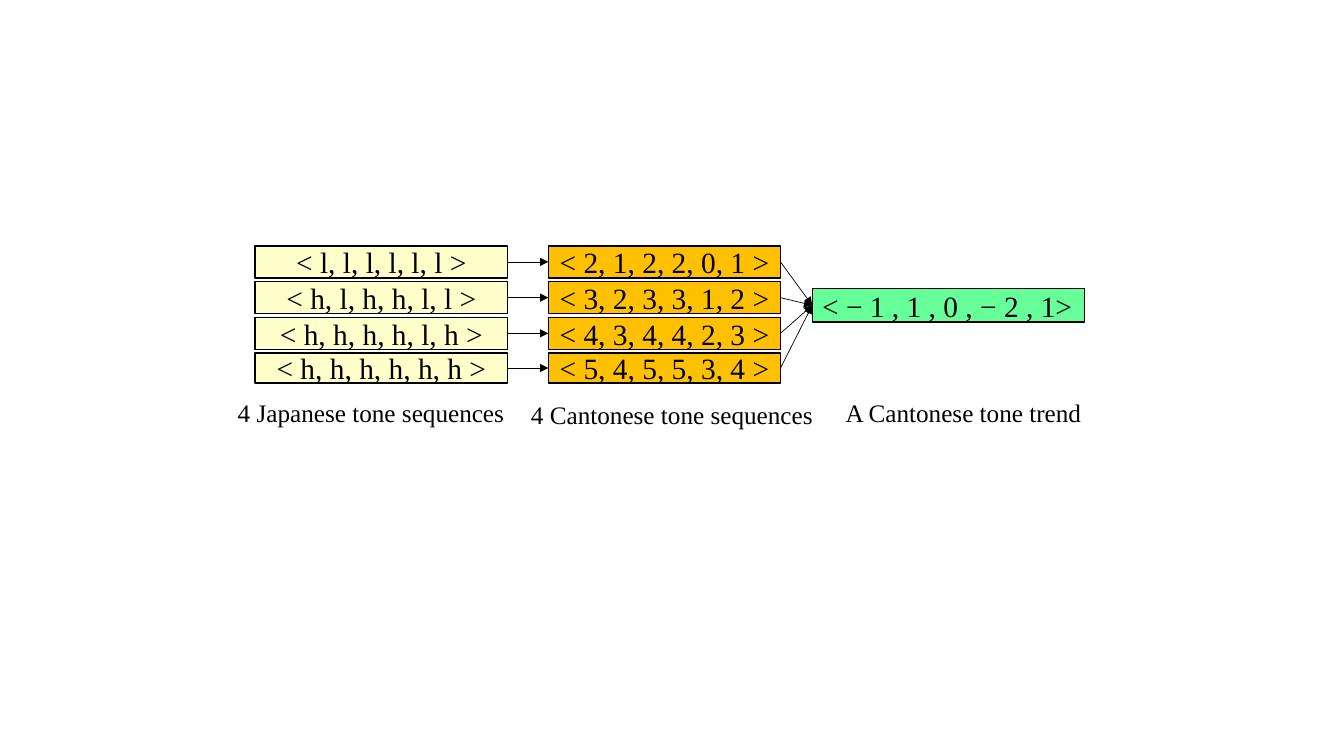
from lxml import etree
from pptx import Presentation
from pptx.dml.color import RGBColor
from pptx.enum.shapes import MSO_CONNECTOR, MSO_SHAPE
from pptx.enum.text import MSO_ANCHOR, MSO_AUTO_SIZE, PP_ALIGN
from pptx.oxml.ns import qn
from pptx.util import Pt

RECT = MSO_SHAPE.RECTANGLE
STRAIGHT = MSO_CONNECTOR.STRAIGHT
MIDDLE = MSO_ANCHOR.MIDDLE
GROW = MSO_AUTO_SIZE.SHAPE_TO_FIT_TEXT
LEFT, CENTER = PP_ALIGN.LEFT, PP_ALIGN.CENTER
LEFT_SIDE, RIGHT_SIDE = 1, 3

COLORS = {
    "ink": "000000",
    "japanese": "FFFFCC",
    "cantonese": "FFC000",
    "trend": "66FF99",
}
SEQUENCES = [
    ("< l, l, l, l, l, l >", "< 2, 1, 2, 2, 0, 1 >"),
    ("< h, l, h, h, l, l >", "< 3, 2, 3, 3, 1, 2 >"),
    ("< h, h, h, h, l, h >", "< 4, 3, 4, 4, 2, 3 >"),
    ("< h, h, h, h, h, h >", "< 5, 4, 5, 5, 3, 4 >"),
]
CAPTIONS = [
    ("4 Japanese tone sequences", 162.7, 280.1, 206.6),
    ("4 Cantonese tone sequences", 372.2, 281.5, 218.2),
    ("A Cantonese tone trend", 596.9, 280.1, 190.1),
]
ROW_TOP, ROW_PITCH = 175.6, 25.5
ROW_HEIGHTS = [23, 23, 23, 21.6]

prs = Presentation()
prs.slide_width, prs.slide_height = Pt(960), Pt(540)
s = prs.slides.add_slide(prs.slide_layouts[6])


def add_box(text, color, x, y, w, h, align=CENTER):
    sp = s.shapes.add_shape(RECT, Pt(x), Pt(y), Pt(w), Pt(h))
    sp.shadow.inherit = False
    sp.fill.solid()
    sp.fill.fore_color.rgb = RGBColor.from_string(COLORS[color])
    sp.line.color.rgb = RGBColor.from_string(COLORS["ink"])
    sp.line.width = Pt(1)
    tf = sp.text_frame
    tf.vertical_anchor = MIDDLE
    tf.text = text
    p = tf.paragraphs[0]
    p.alignment = align
    font = p.runs[0].font
    font.name, font.size = "Times New Roman", Pt(21)
    font.color.rgb = RGBColor.from_string(COLORS["ink"])
    return sp


def add_arrow(start, end):
    cn = s.shapes.add_connector(STRAIGHT, 0, 0, 0, 0)
    cn.begin_connect(start, RIGHT_SIDE)
    cn.end_connect(end, LEFT_SIDE)
    cn.line.color.rgb = RGBColor.from_string(COLORS["ink"])
    cn.line.width = Pt(0.5)
    etree.SubElement(cn.line._get_or_add_ln(), qn("a:tailEnd"), type="triangle")
    etree.SubElement(cn._element.spPr, qn("a:effectLst"))


trend = add_box("< − 1 , 1 , 0 , − 2 , 1>", "trend", 580.2, 206.1, 194.5, 24, LEFT)

for i, (japanese_text, cantonese_text) in enumerate(SEQUENCES):
    y, h = ROW_TOP + i * ROW_PITCH, ROW_HEIGHTS[i]
    japanese = add_box(japanese_text, "japanese", 182.1, y, 180.6, h)
    cantonese = add_box(cantonese_text, "cantonese", 391.7, y, 165.8, h)
    add_arrow(japanese, cantonese)
    add_arrow(cantonese, trend)

for text, x, y, w in CAPTIONS:
    tb = s.shapes.add_textbox(Pt(x), Pt(y), Pt(w), Pt(28.8))
    tf = tb.text_frame
    tf.word_wrap = False
    tf.auto_size = GROW
    tf.text = text
    font = tf.paragraphs[0].runs[0].font
    font.name, font.size = "Times New Roman", Pt(18)
    font.color.rgb = RGBColor.from_string(COLORS["ink"])

prs.save("out.pptx")
